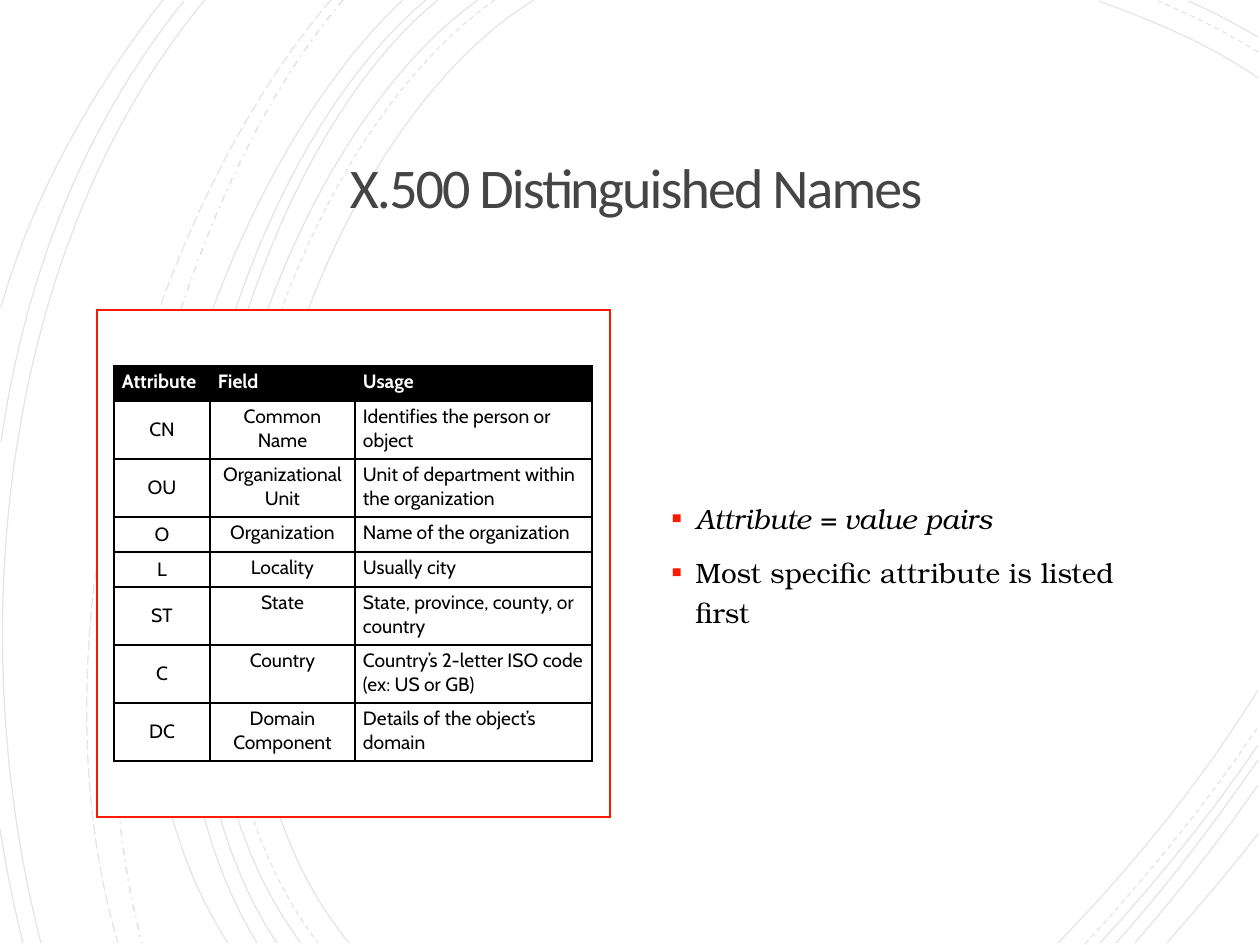
import lxml.etree
import pptx
import pptx.dml.color
import pptx.enum.dml
import pptx.enum.shapes
import pptx.enum.text
import pptx.oxml.ns
import pptx.util

Color = pptx.dml.color.RGBColor
Dash = pptx.enum.dml.MSO_LINE
Align = pptx.enum.text.PP_ALIGN
Anchor = pptx.enum.text.MSO_ANCHOR
qn = pptx.oxml.ns.qn

BLACK = Color(0x00, 0x00, 0x00)
WHITE = Color(0xFF, 0xFF, 0xFF)
GRAY = Color(0x45, 0x45, 0x45)
RED = Color(0xF8, 0x1B, 0x02)

EMU_PER_PX = 914400 / 126

# Start, two control points and end of each background arc, by dash style
ARCS = {
    Dash.SOLID: [
        (534, 0, 297, 145, 135, 680, 349, 943),
        (1258, 78, 1208, 43, 1150, 20, 1099, 1),
        (1058, 943, 1130, 869, 1200, 784, 1258, 690),
        (478, 0, 255, 160, 103, 677, 301, 943),
        (1258, 37, 1235, 24, 1212, 11, 1188, 1),
        (1100, 943, 1155, 883, 1210, 816, 1258, 745),
        (438, 0, 231, 168, 103, 682, 277, 943),
        (1116, 943, 1166, 887, 1213, 825, 1258, 760),
        (426, 0, 218, 174, 92, 672, 257, 943),
        (1135, 943, 1178, 893, 1220, 840, 1258, 785),
        (403, 0, 205, 185, 50, 667, 228, 943),
        (1167, 943, 1197, 908, 1229, 872, 1258, 834),
        (205, 0, 10, 233, -43, 617, 41, 943),
        (184, 1, 87, 121, 26, 270, 1, 442),
        (0, 829, 6, 868, 14, 906, 23, 943),
        (163, 0, 95, 87, 35, 189, 1, 307),
    ],
    Dash.DASH: [
        (495, 0, 268, 158, 116, 677, 318, 943),
        (1258, 52, 1226, 32, 1191, 15, 1158, 1),
        (1085, 944, 1145, 879, 1205, 806, 1258, 727),
    ],
    Dash.DASH_DOT: [(343, 0, 166, 209, 62, 641, 142, 943)],
    Dash.LONG_DASH: [(331, 0, 149, 213, 26, 629, 118, 943)],
}

ATTRIBUTES = [
    ("Attribute", "Field", "Usage"),
    ("CN", "Common Name", "Identifies the person or object"),
    ("OU", "Organizational Unit", "Unit of department within the organization"),
    ("O", "Organization", "Name of the organization"),
    ("L", "Locality", "Usually city"),
    ("ST", "State", "State, province, county, or country"),
    ("C", "Country", "Country’s 2-letter ISO code (ex: US or GB)"),
    ("DC", "Domain Component", "Details of the object’s domain"),
]
COLUMN_WIDTHS = (96, 145, 237)
ROW_HEIGHTS = (35, 58, 58, 35, 35, 58, 58, 58)


def px(length):
    return pptx.util.Emu(round(length * EMU_PER_PX))


def add_element(parent, tag, **attributes):
    return lxml.etree.SubElement(parent, qn(tag), attributes)


class SlideWriter:
    title_font = "Calibri"
    body_font = "TeX Gyre Bonum"
    table_font = "Cabin"

    def __init__(self, slide):
        self.slide = slide

    def set_font(self, para, name, size, color, bold=False, italic=False):
        font = para.font
        font.name, font.size = name, pptx.util.Pt(size)
        font.bold, font.italic = bold, italic
        font.color.rgb = color

    def arc(self, points, dash):
        """Draw a faint cubic curve through its four control points."""
        corners = [(px(x), px(y)) for x, y in zip(points[::2], points[1::2])]
        builder = self.slide.shapes.build_freeform(*corners[0], scale=1.0)
        builder.add_line_segments(corners[1:], close=False)
        shape = builder.convert_to_shape()
        # Join the three straight segments into one cubic segment
        segments = list(shape.element.iter(qn("a:lnTo")))
        curve = add_element(segments[0].getparent(), "a:cubicBezTo")
        for segment in segments:
            curve.append(segment[0])
            segment.getparent().remove(segment)
        shape.shadow.inherit = False
        shape.fill.background()
        shape.line.color.rgb = BLACK
        shape.line.width = pptx.util.Pt(1 if dash == Dash.DASH_DOT else 0.75)
        shape.line.dash_style = dash
        line = next(shape.element.iter(qn("a:ln")))
        add_element(next(line.iter(qn("a:srgbClr"))), "a:alpha", val="10000")

    def title(self, text, left, top, width, height):
        box = self.slide.shapes.title
        self.slide.shapes.element.append(box.element)  # in front of the arcs
        box.left, box.top, box.width, box.height = map(px, (left, top, width, height))
        frame = box.text_frame
        frame.text = text
        frame.word_wrap = True
        frame.vertical_anchor = Anchor.MIDDLE
        frame.margin_left = frame.margin_right = px(32)
        frame.margin_top = frame.margin_bottom = px(32)
        para = frame.paragraphs[0]
        para.alignment = Align.CENTER
        para.line_spacing = 0.85
        self.set_font(para, self.title_font, 32, GRAY)
        para.runs[0]._r.get_or_add_rPr().set("spc", "-110")

    def panel(self, left, top, width, height):
        box = self.slide.shapes.add_shape(
            pptx.enum.shapes.MSO_SHAPE.RECTANGLE, *map(px, (left, top, width, height)))
        box.shadow.inherit = False
        box.fill.solid()
        box.fill.fore_color.rgb = WHITE
        box.line.color.rgb = RED
        box.line.width = pptx.util.Pt(1.5)
        add_element(next(box.element.iter(qn("a:ln"))), "a:miter", lim="800000")

    def bullets(self, items, left, top, width, height):
        box = self.slide.shapes.add_textbox(*map(px, (left, top, width, height)))
        frame = box.text_frame
        frame.word_wrap = True
        frame.vertical_anchor = Anchor.MIDDLE
        for index, (text, italic) in enumerate(items):
            para = frame.paragraphs[0] if index == 0 else frame.add_paragraph()
            para.text = text
            para.line_spacing = 1.2
            if index:
                para.space_before = pptx.util.Pt(7.5)
            properties = para._p.get_or_add_pPr()
            properties.set("marL", str(px(24)))
            properties.set("indent", str(px(-24)))
            add_element(add_element(properties, "a:buClr"), "a:srgbClr", val=str(RED))
            add_element(properties, "a:buSzPct", val="110000")
            add_element(properties, "a:buFont", typeface=self.title_font)
            add_element(properties, "a:buChar", char="▪")
            self.set_font(para, self.body_font, 16, BLACK, italic=italic)

    def cell_borders(self, cell):
        properties = cell._tc.get_or_add_tcPr()
        for index, side in enumerate(("a:lnL", "a:lnR", "a:lnT", "a:lnB")):
            border = add_element(properties, side, w=str(pptx.util.Pt(1.5)))
            add_element(add_element(border, "a:solidFill"), "a:srgbClr", val=str(BLACK))
            properties.insert(index, border)  # borders come before the fill

    def table(self, rows, widths, heights, left, top):
        frame = self.slide.shapes.add_table(
            len(rows), len(widths), px(left), px(top), px(sum(widths)), px(sum(heights)))
        table = frame.table
        for column, width in zip(table.columns, widths):
            column.width = px(width)
        for row, height in zip(table.rows, heights):
            row.height = px(height)
        for row_index, texts in enumerate(rows):
            header = row_index == 0
            for column_index, text in enumerate(texts):
                cell = table.cell(row_index, column_index)
                cell.text = text
                cell.margin_left = cell.margin_right = px(8)
                cell.margin_top = cell.margin_bottom = px(4)
                cell.fill.solid()
                cell.fill.fore_color.rgb = BLACK if header else WHITE
                para = cell.text_frame.paragraphs[0]
                if not header and column_index < 2:
                    para.alignment = Align.CENTER
                if not header and column_index == 0:
                    cell.vertical_anchor = Anchor.MIDDLE
                self.set_font(para, self.table_font, 11, WHITE if header else BLACK, bold=header)
                self.cell_borders(cell)


def main():
    deck = pptx.Presentation()
    deck.slide_width, deck.slide_height = px(1260), px(945)
    writer = SlideWriter(deck.slides.add_slide(deck.slide_layouts[5]))

    # Background arcs
    for dash, arcs in ARCS.items():
        for points in arcs:
            writer.arc(points, dash)

    # Title, framed table and bullet list
    writer.title("X.500 Distinguished Names", 94, 109, 1084, 164)
    writer.panel(97, 310, 513, 507)
    writer.bullets([("Attribute = value pairs", True),
                    ("Most specific attribute is listed first", False)], 659, 307, 519, 510)
    writer.table(ATTRIBUTES, COLUMN_WIDTHS, ROW_HEIGHTS, 114, 366)
    deck.save("out.pptx")


if __name__ == "__main__":
    main()
